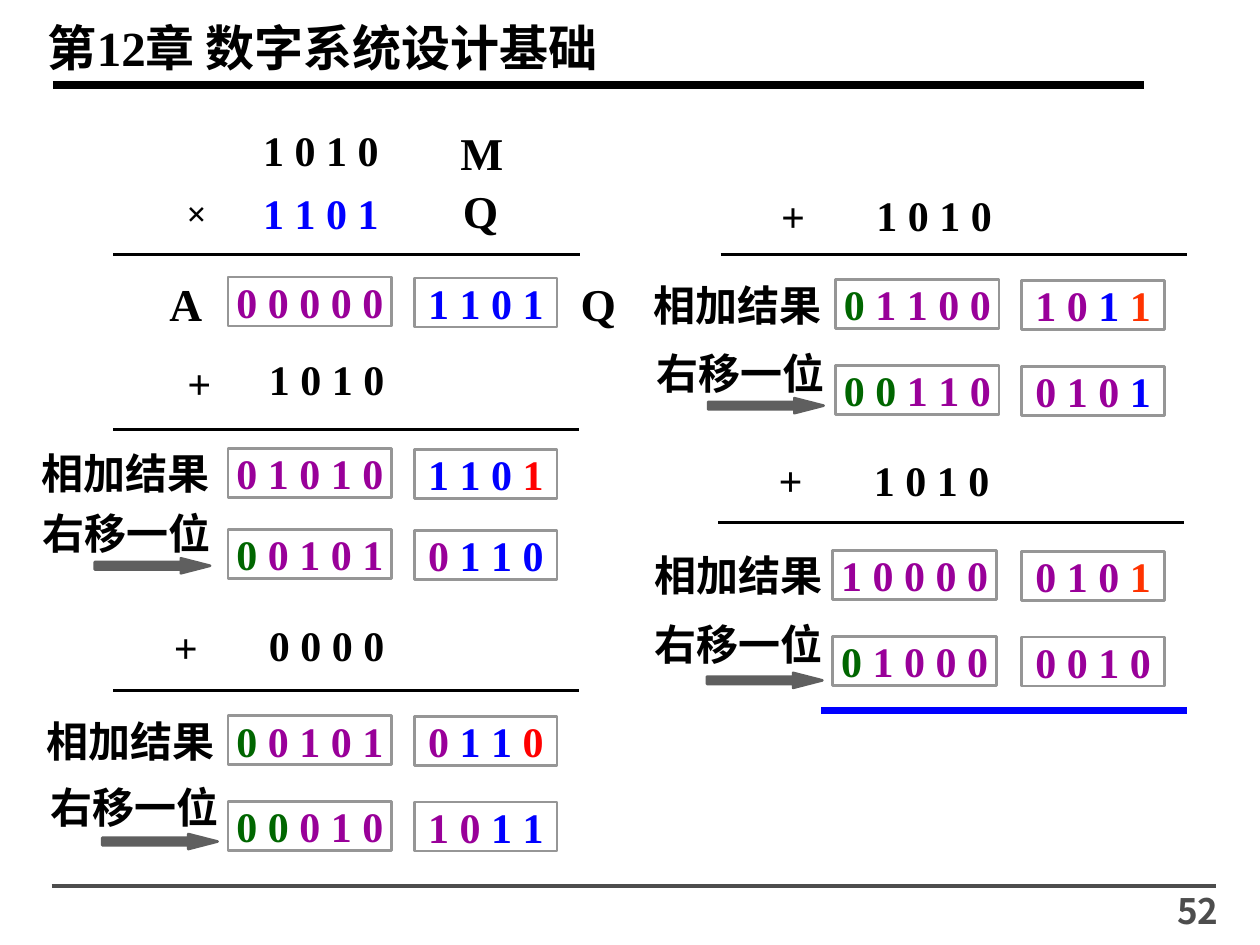
from dataclasses import dataclass
from itertools import groupby

from lxml import etree
from pptx import Presentation
from pptx.dml.color import RGBColor
from pptx.enum.shapes import MSO_CONNECTOR, MSO_SHAPE
from pptx.enum.text import MSO_ANCHOR, MSO_AUTO_SIZE, PP_ALIGN
from pptx.oxml.ns import qn
from pptx.util import Pt

LEFT, CENTER, RIGHT = PP_ALIGN.LEFT, PP_ALIGN.CENTER, PP_ALIGN.RIGHT
TOP, MIDDLE = MSO_ANCHOR.TOP, MSO_ANCHOR.MIDDLE
RECTANGLE, RIGHT_ARROW = MSO_SHAPE.RECTANGLE, MSO_SHAPE.RIGHT_ARROW
STRAIGHT = MSO_CONNECTOR.STRAIGHT
NO_AUTOFIT = MSO_AUTO_SIZE.NONE

LATIN, CJK = "Times New Roman", "Noto Sans CJK SC"
BLACK, GREY, FRAME, ARROW = "000000", "4D4D4D", "969696", "5F5F5F"
# One letter per bit: K black, G shifted-in, P partial product, B multiplier, R/O tested
BIT_COLORS = {"K": BLACK, "G": "006600", "P": "990099", "B": "0000FF",
              "R": "FF0000", "O": "FF3300"}

ACCUMULATOR_W, MULTIPLIER_W, REGISTER_H = 93.6, 81.4, 28
RULE_W, LABEL_W, LABEL_H = 266.4, 81.4, 32.4
FRAME_INSETS = {"margin_left": Pt(7.2), "margin_right": Pt(7.2),
                "margin_top": Pt(3.6), "margin_bottom": Pt(3.6)}


@dataclass
class Bits:
    digits: str
    colors: str


@dataclass
class RegisterPair:
    accumulator: Bits
    multiplier: Bits
    top: float


@dataclass
class Step:
    accumulator_left: float
    multiplier_left: float
    operand: str
    operand_top: float
    plus_left: float
    plus_top: float
    rule_y: float
    total: RegisterPair
    total_label_x: float
    shifted: RegisterPair
    shift_label_x: float
    shift_label_y: float
    arrow_top: float


def rgb(color: str) -> RGBColor:
    return RGBColor.from_string(color)


def set_format(target, values: dict) -> None:
    for attribute, value in values.items():
        setattr(target, attribute, value)


def add_run(paragraph, text: str, size: float, color: str, font: str = LATIN) -> None:
    run = paragraph.add_run()
    run.text = text
    set_format(run.font, {"size": Pt(size), "bold": True, "name": font})
    run.font.color.rgb = rgb(color)
    etree.SubElement(run.font._element, qn("a:ea"), typeface=CJK)


def prepare_frame(shape, align=CENTER, anchor=MIDDLE, wrap=False):
    frame = shape.text_frame
    set_format(frame, {"auto_size": NO_AUTOFIT, "word_wrap": wrap,
                       "vertical_anchor": anchor, **FRAME_INSETS})
    frame.paragraphs[0].alignment = align
    return frame.paragraphs[0]


def add_text(slide, text: str, left: float, top: float, width: float = LABEL_W,
             height: float = LABEL_H, size: float = 24, color: str = BLACK,
             font: str = LATIN, **layout) -> None:
    box = slide.shapes.add_textbox(Pt(left), Pt(top), Pt(width), Pt(height))
    add_run(prepare_frame(box, **layout), text, size, color, font)


def add_label(slide, text: str, center_x: float, center_y: float) -> None:
    add_text(slide, text, center_x - LABEL_W / 2, center_y - LABEL_H / 2)


def add_line(slide, left: float, y: float, width: float, weight: float = 1.75,
             color: str = BLACK) -> None:
    line = slide.shapes.add_connector(STRAIGHT, Pt(left), Pt(y), Pt(left + width), Pt(y))
    line.line.width = Pt(weight)
    line.line.color.rgb = rgb(color)
    etree.SubElement(line._element.spPr, qn("a:effectLst"))


def add_outlined(slide, preset, left: float, top: float, width: float,
                 height: float, color: str):
    shape = slide.shapes.add_shape(preset, Pt(left), Pt(top), Pt(width), Pt(height))
    shape.shadow.inherit = False
    shape.line.width = Pt(1.5)
    shape.line.color.rgb = rgb(color)
    return shape


def add_register(slide, bits: Bits, left: float, top: float, width: float) -> None:
    box = add_outlined(slide, RECTANGLE, left, top, width, REGISTER_H, FRAME)
    box.fill.background()
    paragraph = prepare_frame(box)
    # Neighbouring bits of one colour share a run
    pairs = list(zip(bits.digits, bits.colors))
    written = 0
    for code, group in groupby(pairs, key=lambda pair: pair[1]):
        digits = [digit for digit, _ in group]
        written += len(digits)
        gap = " " if written < len(pairs) else ""
        add_run(paragraph, " ".join(digits) + gap, 24, BIT_COLORS[code])


def add_registers(slide, pair: RegisterPair, accumulator_left: float,
                  multiplier_left: float) -> None:
    add_register(slide, pair.accumulator, accumulator_left, pair.top, ACCUMULATOR_W)
    add_register(slide, pair.multiplier, multiplier_left, pair.top + 0.5, MULTIPLIER_W)


def add_arrow(slide, left: float, top: float) -> None:
    arrow = add_outlined(slide, RIGHT_ARROW, left, top, 66, 8.6, ARROW)
    arrow.fill.solid()
    arrow.fill.fore_color.rgb = rgb(ARROW)
    arrow.adjustments[0], arrow.adjustments[1] = 0.5, 1.95


def add_step(slide, step: Step) -> None:
    add_text(slide, "+", step.plus_left, step.plus_top, 27.4, 36,
             align=LEFT, anchor=TOP, wrap=True)
    add_text(slide, step.operand, step.accumulator_left + 15.7, step.operand_top)
    add_line(slide, step.accumulator_left - 65.6, step.rule_y, RULE_W)
    for pair in (step.total, step.shifted):
        add_registers(slide, pair, step.accumulator_left, step.multiplier_left)
    add_label(slide, "相加结果", step.total_label_x, step.total.top + REGISTER_H / 2)
    add_label(slide, "右移一位", step.shift_label_x, step.shift_label_y)
    add_arrow(slide, step.shift_label_x - 18.3, step.arrow_top)


STEPS = [
    Step(130.3, 236.9, "1 0 1 0", 200.2, 100, 200.9, 245.5,
         RegisterPair(Bits("01010", "PPPPP"), Bits("1101", "BBBR"), 256.3), 71.6,
         RegisterPair(Bits("00101", "GPPPP"), Bits("0110", "PBBB"), 302.6),
         72.4, 304.2, 319),
    Step(130.3, 236.9, "0 0 0 0", 352.1, 92.2, 351.4, 394.6,
         RegisterPair(Bits("00101", "GPPPP"), Bits("0110", "PBBR"), 409), 74.5,
         RegisterPair(Bits("00010", "GGPPP"), Bits("1011", "PPBB"), 457.9),
         76.7, 461.2, 476.6),
    Step(477.4, 583.9, "1 0 1 0", 106.6, 439.2, 105.1, 145.4,
         RegisterPair(Bits("01100", "GPPPP"), Bits("1011", "PPBO"), 159.8), 421.6,
         RegisterPair(Bits("00110", "GGPPP"), Bits("0101", "PPPB"), 208.8),
         423, 212.8, 227.5),
    Step(475.9, 583.9, "1 0 1 0", 257.8, 437.8, 256.3, 298.8,
         RegisterPair(Bits("10000", "PPPPP"), Bits("0101", "PPPO"), 314.6), 422.3,
         RegisterPair(Bits("01000", "GPPPP"), Bits("0010", "PPPP"), 363.6),
         422.3, 367.6, 384.5),
]


def main() -> None:
    deck = Presentation()
    set_format(deck, {"slide_width": Pt(720), "slide_height": Pt(540)})
    slide = deck.slides.add_slide(deck.slide_layouts[5])

    # Chapter title, page rules and page number
    title = slide.shapes.title
    set_format(title, {"left": Pt(20.2), "top": Pt(6.5),
                       "width": Pt(449.3), "height": Pt(41)})
    add_run(prepare_frame(title, LEFT, TOP, True), "第12章 数字系统设计基础", 28, BLACK)
    add_line(slide, 30.2, 48.5, 623.5, 4.5)
    add_line(slide, 29.5, 506.2, 665.3, 2, GREY)
    add_text(slide, "52", 603.4, 504.7, 100, 28, 20, GREY, CJK,
             align=RIGHT, anchor=TOP, wrap=True)

    # Multiplicand M and multiplier Q
    add_text(slide, "1 0 1 0", 142.6, 69.1)
    add_text(slide, "1 1 0 1", 142.6, 105.8, height=31, color=BIT_COLORS["B"])
    add_text(slide, "×", 99.4, 105.8, 25.9, 31.7, 20, anchor=TOP)
    for register_name, left, top, width in (("M", 244.1, 70.6, 62.6), ("Q", 243.4, 103.7, 62.6),
                                            ("A", 74.9, 157, 62.6), ("Q", 320.4, 157, 43.2)):
        add_text(slide, register_name, left, top, width, size=26)
    add_line(slide, 64.8, 145.4, RULE_W)

    # Initial registers, then the add-and-shift steps
    start = RegisterPair(Bits("00000", "PPPPP"), Bits("1101", "BBBB"), 158.4)
    add_registers(slide, start, STEPS[0].accumulator_left, STEPS[0].multiplier_left)
    for step in STEPS:
        add_step(slide, step)

    # Closing rule under the product
    add_line(slide, 469.4, 406.1, 208.8, 4, BIT_COLORS["B"])
    deck.save("out.pptx")


if __name__ == "__main__":
    main()
